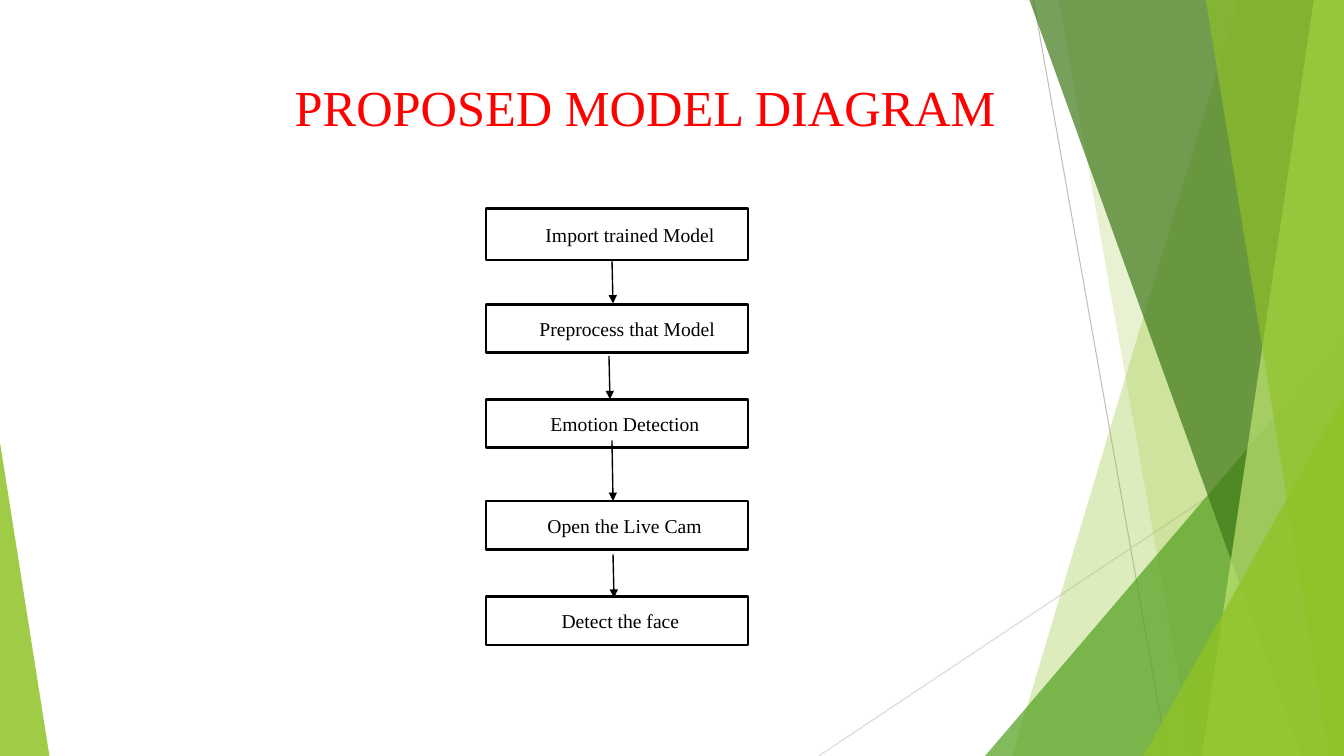
"""Build the proposed model diagram slide: a five-step flow beside a faceted green backdrop."""
from lxml import etree
from pptx import Presentation, util as u
from pptx.dml.color import RGBColor
from pptx.enum import shapes, text
from pptx.oxml.ns import qn

C = {"green": "90C226", "mid": "54A021", "dark": "3F7819", "pale": "C0E474",
     "grey": "BFBFBF", "light": "D9D9D9", "red": "FF0000", "black": "000000", "white": "FFFFFF"}
CELL = u.Inches(0.1)
COLS, ROWS = 133.3, 75
FONT = "Times New Roman"


def write(tf, words, size=14, color="black", align=text.PP_ALIGN.LEFT, indent=1):
    tf.word_wrap = True
    tf.vertical_anchor = text.MSO_ANCHOR.MIDDLE
    tf.margin_left = int(indent * CELL)
    p = tf.paragraphs[0]
    p.alignment = align
    r = p.add_run()
    r.text = words
    r.font.name, r.font.size = FONT, u.Pt(size)
    r.font.color.rgb = RGBColor.from_string(C[color])


def connect(s, ends, color, width, arrow=False):
    line = s.shapes.add_connector(shapes.MSO_CONNECTOR.STRAIGHT, *[int(n * CELL) for n in ends])
    line.line.color.rgb = RGBColor.from_string(C[color])
    line.line.width = u.Pt(width)
    if arrow:
        etree.SubElement(line.line._get_or_add_ln(), qn("a:tailEnd"), type="triangle")
    etree.SubElement(line._element.spPr, qn("a:effectLst"))


prs = Presentation()
prs.slide_width, prs.slide_height = int(COLS * CELL), ROWS * CELL
s = prs.slides.add_slide(prs.slide_layouts[5])

connect(s, (102.5, 0, 115.8, ROWS), "grey", 0.75)
connect(s, (COLS, 40.3, 81.2, ROWS), "light", 0.75)

# kind, top-left or left edge, bottom-left or top edge, colour, opacity
facets = [
    ("band", 122.8, 100.4, "green", 30),
    ("band", 105, 118.3, "green", 20),
    ("right", 97.7, 33.3, "mid", 72),
    ("band", 102.1, 129.1, "dark", 70),
    ("band", 130.3, 119.2, "pale", 70),
    ("band", 119.6, 131.8, "green", 65),
    ("right", 113.4, 39.3, "green", 80),
    ("left", 4.9, 43.9, "green", 85),
]
for kind, a, b, color, opacity in facets:
    if kind == "band":
        fb = s.shapes.build_freeform(int(a * CELL), 0)
        fb.add_line_segments([(int(x * CELL), y * CELL)
                              for x, y in ((COLS, 0), (COLS, ROWS), (b, ROWS))])
        sp = fb.convert_to_shape()
    else:
        left, right = (a, COLS) if kind == "right" else (0, a)
        sp = s.shapes.add_shape(shapes.MSO_SHAPE.ISOSCELES_TRIANGLE,
                                *[int(n * CELL) for n in (left, b, right - left, ROWS - b)])
        sp.adjustments[0] = 1 if kind == "right" else 0
    sp.shadow.inherit = False
    sp.line.fill.background()
    sp.fill.solid()
    sp.fill.fore_color.rgb = RGBColor.from_string(C[color])
    rgb = sp._element.spPr.find(qn("a:solidFill"))[0]
    etree.SubElement(rgb, qn("a:alpha"), val=str(opacity * 1000))

title = s.shapes.title
title.left, title.top, title.width, title.height = [int(n * CELL) for n in (9, 6.7, 110, 7.8)]
write(title.text_frame, "PROPOSED MODEL DIAGRAM", size=36, color="red", align=text.PP_ALIGN.CENTER)

steps = [
    ("Import trained Model", 20.7, 5.1, 5.9),
    ("Preprocess that Model", 30.2, 4.8, 5.3),
    ("Emotion Detection", 39.6, 4.8, 6.4),
    ("Open the Live Cam", 49.7, 4.8, 6.1),
    ("Detect the face", 59.2, 4.8, 7.5),
]
for words, top, height, indent in steps:
    sp = s.shapes.add_shape(shapes.MSO_SHAPE.RECTANGLE,
                            *[int(n * CELL) for n in (48.2, top, 26, height)])
    sp.shadow.inherit = False
    sp.fill.solid()
    sp.fill.fore_color.rgb = RGBColor.from_string(C["white"])
    sp.line.color.rgb = RGBColor.from_string(C["black"])
    sp.line.width = u.Pt(2)
    write(sp.text_frame, words, indent=indent)

for x, top, bottom in ((60.7, 25.8, 30.1), (60.4, 35.3, 39.6), (60.7, 43.7, 49.7), (60.8, 55, 59.3)):
    connect(s, (x, top, x + 0.1, bottom), "black", 1, arrow=True)

prs.save("out.pptx")
